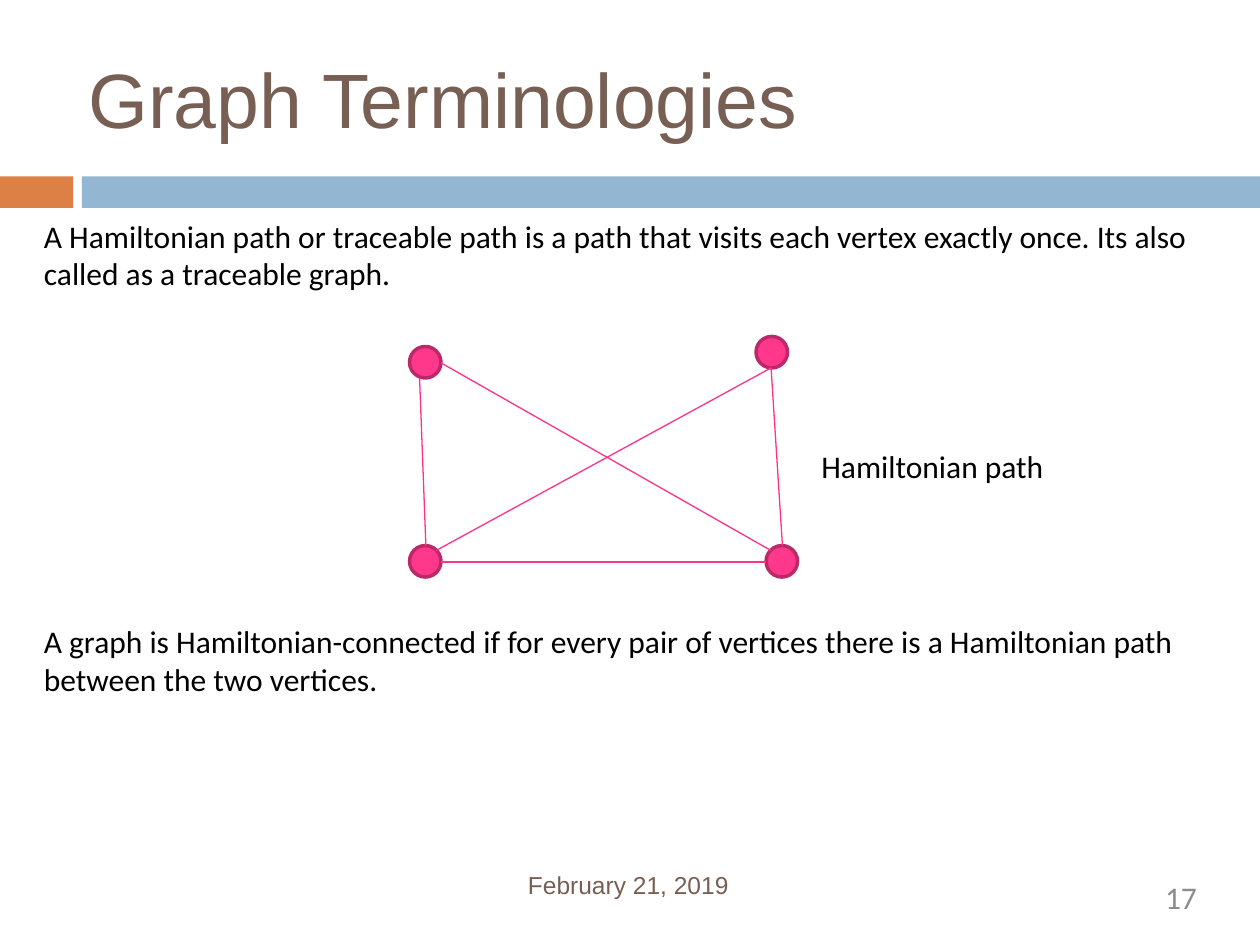
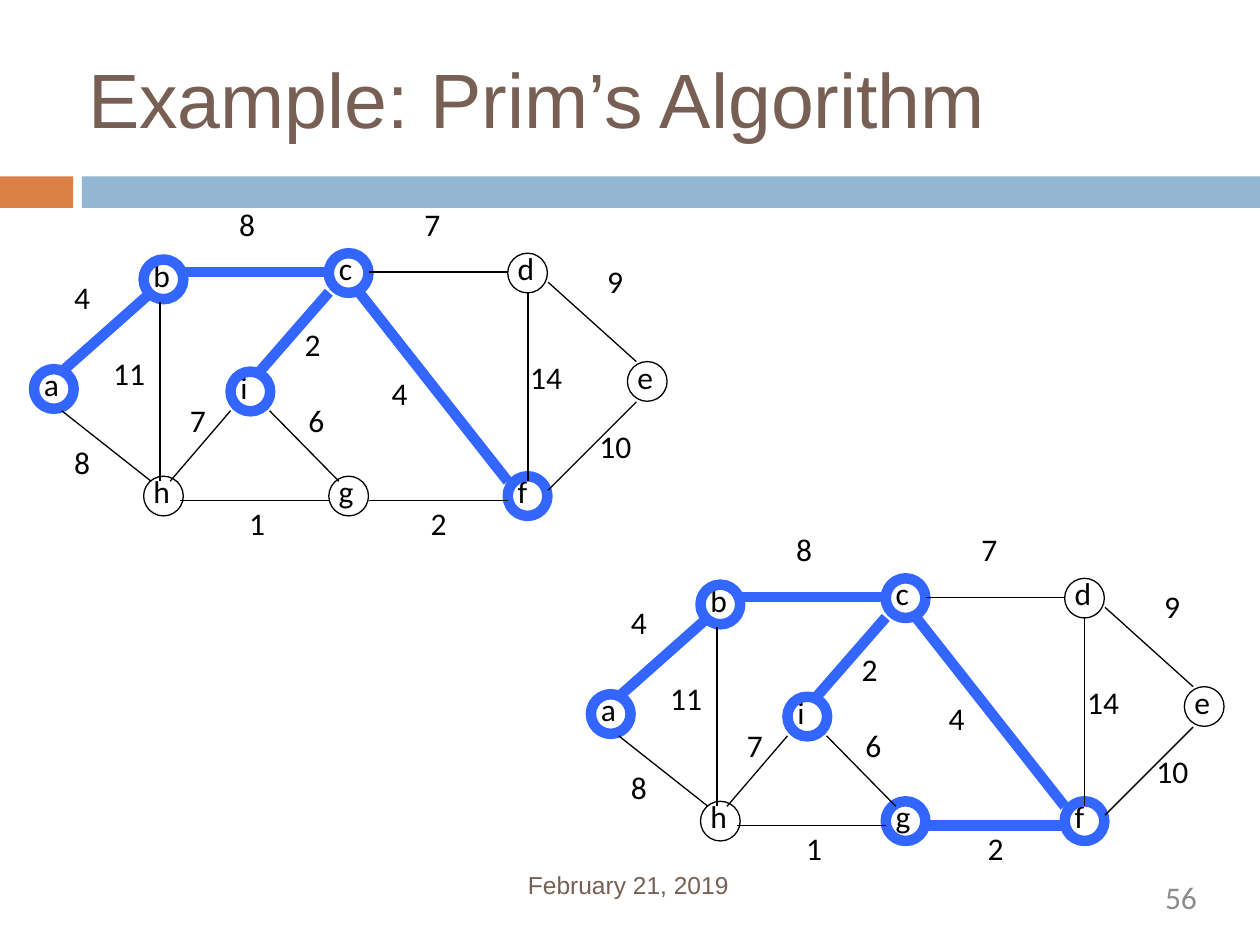
from dataclasses import dataclass

from lxml import etree
from pptx import Presentation
from pptx.dml.color import RGBColor
from pptx.enum.shapes import MSO_CONNECTOR, MSO_SHAPE
from pptx.enum.text import MSO_ANCHOR, MSO_AUTO_SIZE, PP_ALIGN
from pptx.oxml.ns import qn
from pptx.util import Inches, Pt

STRAIGHT = MSO_CONNECTOR.STRAIGHT
OVAL, RECTANGLE = MSO_SHAPE.OVAL, MSO_SHAPE.RECTANGLE
BOTTOM = MSO_ANCHOR.BOTTOM
NO_AUTOFIT, GROW = MSO_AUTO_SIZE.NONE, MSO_AUTO_SIZE.SHAPE_TO_FIT_TEXT
LEFT, RIGHT = PP_ALIGN.LEFT, PP_ALIGN.RIGHT

BROWN = RGBColor(0x77, 0x5F, 0x54)
ORANGE = RGBColor(0xDD, 0x80, 0x46)
PALE_BLUE = RGBColor(0x93, 0xB6, 0xD2)
GRAY = RGBColor(0x8C, 0x8C, 0x8C)
BLACK = RGBColor(0, 0, 0)
PINK = RGBColor(0xFF, 0x38, 0x8C)
DARK_PINK = RGBColor(0xBD, 0x29, 0x68)
EDGE_PINK = RGBColor(0xFE, 0x32, 0x88)
TREE_BLUE = RGBColor(0x33, 0x66, 0xFF)

SLIDE_WIDTH, SLIDE_HEIGHT = Inches(10), Inches(7.5)
GRID_COLUMNS = 100
CELL = SLIDE_WIDTH / GRID_COLUMNS
THIN, RING, THICK = Pt(0.75), Pt(2), Pt(6)

PATH_NODE_SIZE = 2.5
PATH_NODES = [(0.5, 1.5), (0.5, 17.3), (28, 0.7), (28.8, 17.3)]
PATH_EDGES = [
    ((1.3, 4), (1.8, 17.3)),
    ((3, 2.8), (29.2, 17.7)),
    ((29.2, 3.2), (2.6, 17.7)),
    ((29.2, 3.2), (30.1, 17.3)),
    ((3, 18.6), (28.8, 18.6)),
]

VERTEX_SIZE = 3.15
VERTICES = {
    "a": (0.7, 14.3, 3.2),
    "b": (9.4, 5.6, 3.4),
    "h": (9.4, 22.8, 3.4),
    "c": (24.1, 5.1, 3.2),
    "d": (38.3, 5.1, 3.4),
    "e": (47.8, 13.7, 3.2),
    "f": (38.3, 22.8, 2.9),
    "g": (24.1, 22.8, 3.4),
    "i": (16.3, 14.5, 3),
}
WEIGHTED_EDGES = {
    "ab": ((2.9, 14.5), (10, 8.2), "4", (2.9, 6.6)),
    "ah": ((2.9, 17.6), (10, 23.2), "8", (2.9, 19.7)),
    "bh": ((10.7, 9), (10.7, 23.2), "11", (6, 12.6)),
    "bc": ((12.3, 6.6), (24.1, 6.6), "8", (16, 0.8)),
    "gh": ((12.3, 24.7), (24.1, 24.7), "1", (16.8, 24.5)),
    "fg": ((27.3, 24.7), (38.3, 24.7), "2", (31.2, 24.5)),
    "cf": ((26.5, 8.2), (38.3, 23.2), "4", (28.1, 14.2)),
    "cd": ((27.3, 6.6), (38.3, 6.6), "7", (30.7, 0.8)),
    "df": ((39.9, 8.2), (39.9, 23.2), "14", (39.1, 12.9)),
    "de": ((41.5, 7.4), (48.5, 13.7), "9", (45.2, 5.3)),
    "ef": ((41.5, 23.9), (48.5, 16.9), "10", (44.6, 18.4)),
    "gi": ((19.4, 17.6), (24.9, 23.2), "6", (21.5, 16.3)),
    "hi": ((11.5, 23.2), (16.3, 17.6), "7", (12.1, 16.3)),
    "ci": ((18.6, 14.5), (24.1, 8.2), "2", (21.2, 10.3)),
}
FIRST_TREE = ["ab", "bc", "ci", "cf"]
SECOND_TREE = FIRST_TREE + ["fg"]


@dataclass
class Box:
    column: float
    row: float
    columns: float
    rows: float

    def point(self, place):
        return round((self.column + place[0]) * CELL), round((self.row + place[1]) * CELL)

    def inner(self, column, row, columns, rows):
        return Box(self.column + column, self.row + row, columns, rows)

    def emu(self):
        return *self.point((0, 0)), round(self.columns * CELL), round(self.rows * CELL)


def style(paragraph, size, color, font="Calibri", align=LEFT):
    paragraph.font.size = Pt(size)
    paragraph.font.name = font
    paragraph.font.color.rgb = color
    paragraph.alignment = align


def clear_margins(frame):
    frame.margin_left = frame.margin_right = frame.margin_top = frame.margin_bottom = 0


def add_text(slide, box, text, wrap=False, size=18, color=BLACK, **font):
    frame = slide.shapes.add_textbox(*box.emu()).text_frame
    frame.word_wrap = wrap
    frame.auto_size = GROW
    frame.text = text
    style(frame.paragraphs[0], size, color, **font)
    return frame


def add_figure(slide, kind, box, fill=None, line=None, width=THIN):
    figure = slide.shapes.add_shape(kind, *box.emu())
    figure.shadow.inherit = False
    if fill is None:
        figure.fill.background()
    else:
        figure.fill.solid()
        figure.fill.fore_color.rgb = fill
    if line is None:
        figure.line.fill.background()
    else:
        figure.line.color.rgb = line
        figure.line.width = width


def add_edge(slide, box, start, end, color, width=THIN):
    edge = slide.shapes.add_connector(STRAIGHT, *box.point(start), *box.point(end))
    edge.line.color.rgb = color
    edge.line.width = width
    etree.SubElement(edge._element.spPr, qn("a:effectLst"))


def add_bands(slide, box):
    gap_start, gap_end = 5.8, 6.5
    add_figure(slide, RECTANGLE, box.inner(0, 0, gap_start, box.rows), ORANGE)
    add_figure(slide, RECTANGLE, box.inner(gap_end, 0, box.columns - gap_end, box.rows), PALE_BLUE)


def add_title(slide, box, text):
    title = slide.shapes.title
    title.left, title.top, title.width, title.height = box.emu()
    frame = title.text_frame
    clear_margins(frame)
    frame.auto_size = NO_AUTOFIT
    frame.vertical_anchor = BOTTOM
    frame.text = text
    style(frame.paragraphs[0], 44, BROWN, "Arial")


def add_footer(slide, box, number):
    date = add_text(slide, box.inner(0, 0, 23.2, 2.4), "February 21, 2019", True,
                    14, BROWN, font="Arial")
    date.paragraphs[0].line_spacing = Pt(15.8)
    page = add_text(slide, box.inner(30.1, 0.5, 23, 3.8), number, True, color=GRAY, align=RIGHT)
    clear_margins(date)
    clear_margins(page)


def add_framed_slide(deck, title, number):
    slide = deck.slides.add_slide(deck.slide_layouts.get_by_name("Title Only"))
    add_bands(slide, Box(0, 14, GRID_COLUMNS, 2.5))
    add_title(slide, Box(7, 3.8, 86, 7.6), title)
    add_footer(slide, Box(41.9, 69.2, 53.1, 4.3), number)
    return slide


def add_path_graph(slide, box):
    for node in PATH_NODES:
        add_figure(slide, OVAL, box.inner(*node, PATH_NODE_SIZE, PATH_NODE_SIZE),
                   PINK, DARK_PINK, RING)
    for start, end in PATH_EDGES:
        add_edge(slide, box, start, end, EDGE_PINK)
    add_text(slide, box.inner(32.2, 9, 19.9, 4), "Hamiltonian path")


def add_weighted_graph(slide, box, tree):
    reached = set("".join(tree))
    for letter, (column, row, letter_width) in VERTICES.items():
        add_text(slide, box.inner(column - 0.2, row - 0.8, letter_width, 4.3), letter)
        color, width = (TREE_BLUE, THICK) if letter in reached else (BLACK, THIN)
        add_figure(slide, OVAL, box.inner(column, row, VERTEX_SIZE, VERTEX_SIZE),
                   line=color, width=width)
    for ends, (start, end, weight, place) in WEIGHTED_EDGES.items():
        color, width = (TREE_BLUE, THICK) if ends in tree else (BLACK, THIN)
        add_edge(slide, box, start, end, color, width)
        add_text(slide, box.inner(*place, 2.1 + 1.6 * len(weight), 5), weight)


def build_hamiltonian_slide(deck):
    slide = add_framed_slide(deck, "Graph Terminologies", "17")
    add_text(slide, Box(2.5, 16.7, 95.8, 7.1),
             "A Hamiltonian path or traceable path is a path that visits each vertex "
             "exactly once. Its also called as a traceable graph.", True)
    add_text(slide, Box(2.5, 48.85, 95, 7.1),
             "A graph is Hamiltonian-connected if for every pair of vertices there is a "
             "Hamiltonian path between the two vertices.", True)
    add_path_graph(slide, Box(32, 26, 52, 20))


def build_prim_slide(deck):
    slide = add_framed_slide(deck, "Example: Prim’s Algorithm", "56")
    add_weighted_graph(slide, Box(2, 15, 51, 30), FIRST_TREE)
    add_weighted_graph(slide, Box(46.2, 40.8, 51, 30), SECOND_TREE)


def main():
    deck = Presentation()
    deck.slide_width, deck.slide_height = SLIDE_WIDTH, SLIDE_HEIGHT
    build_hamiltonian_slide(deck)
    build_prim_slide(deck)
    deck.save("out.pptx")


if __name__ == "__main__":
    main()
